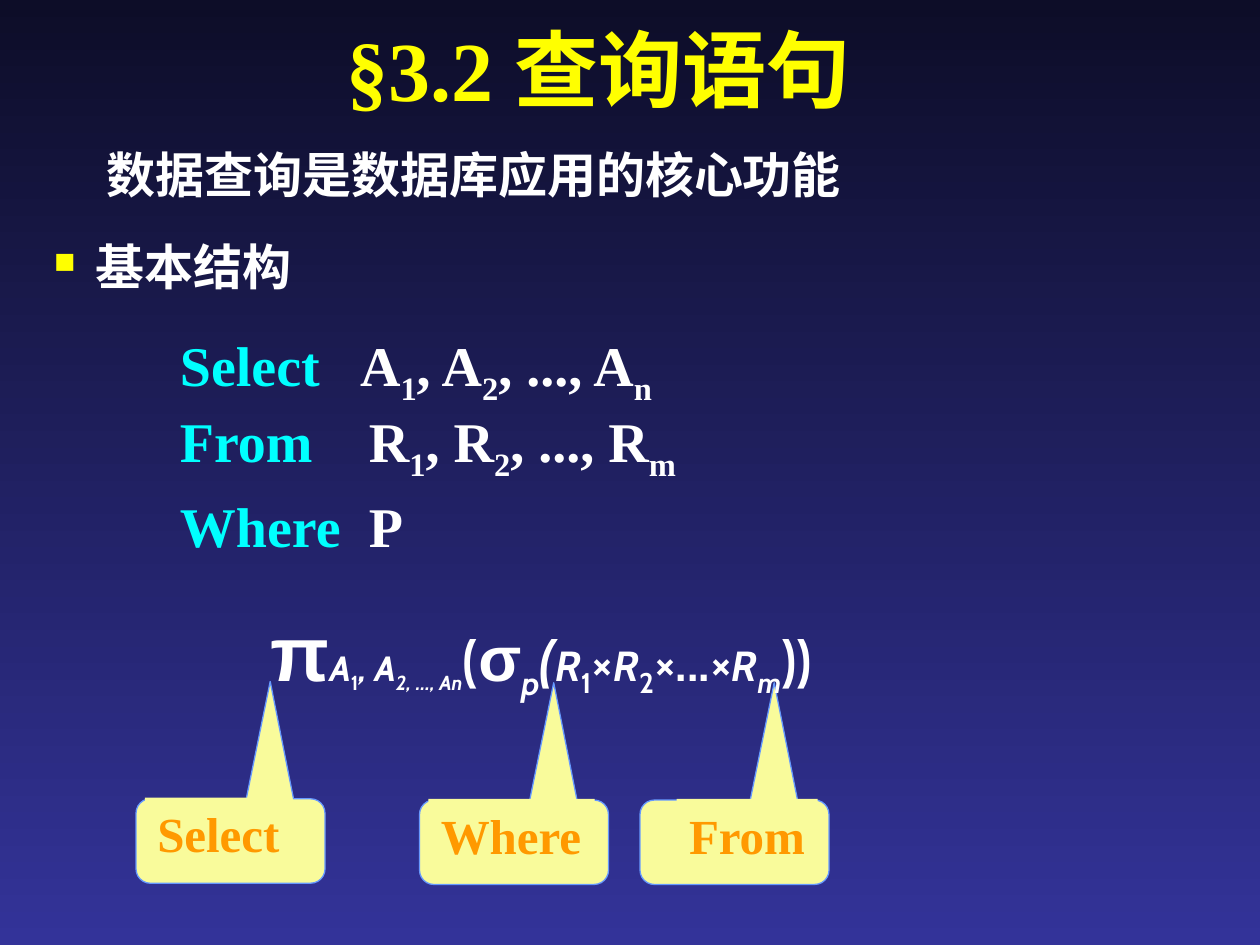
import pptx
import pptx.dml.color
import pptx.enum.shapes
import pptx.enum.text
import pptx.oxml
import pptx.oxml.ns
import pptx.util
from dataclasses import dataclass
from pptx.util import Inches, Pt


@dataclass(frozen=True)
class Theme:
    night: str = "0D0D28"
    indigo: str = "333399"
    yellow: str = "FFFF00"
    white: str = "FFFFFF"
    cyan: str = "00FFFF"
    orange: str = "FF9900"
    cream: str = "F9FB9B"
    outline: str = "6699FF"
    serif: str = "Times New Roman"
    sans: str = "Cabin"
    greek: str = "Arial"
    chinese: str = "Noto Sans CJK SC"
    title: int = 48
    body: int = 28
    clause: int = 32


theme = Theme()
rgb = pptx.dml.color.RGBColor.from_string


def add_spans(para, spans, **base):
    """Add bold runs; each span is text plus what differs from the base format."""
    for text, changes in spans:
        style = {"bold": True, "color": theme.white, **base, **changes}
        span = para.add_run()
        span.text = text
        span.font.color.rgb = rgb(style.pop("color"))
        span.font.size = Pt(style.pop("size"))
        properties = span._r.get_or_add_rPr()
        if style.pop("sub", False):
            properties.set("baseline", "-25000")
        for name, value in style.items():
            setattr(span.font, name, value)
        east_asian = pptx.oxml.parse_xml(
            f'<a:ea {pptx.oxml.ns.nsdecls("a")} typeface="{theme.chinese}"/>')
        properties.find(pptx.oxml.ns.qn("a:latin")).addnext(east_asian)


def add_text_box(left, top, width, height, wrap=True):
    box = page.shapes.add_textbox(Inches(left), Inches(top), Inches(width), Inches(height))
    box.text_frame.word_wrap = wrap
    return box.text_frame


deck = pptx.Presentation()
deck.slide_width, deck.slide_height = Inches(10), Inches(7.5)
page = deck.slides.add_slide(deck.slide_layouts[5])

background = page.background.fill
background.gradient()
background.gradient_angle = 270
for stop, color, position in zip(background.gradient_stops, (theme.night, theme.indigo), (0, 1)):
    stop.color.rgb = rgb(color)
    stop.position = position

# Title and lead sentence
title = page.shapes.title
title.left, title.top, title.width, title.height = map(Inches, (0.5, 0.08, 8.5, 0.92))
title.text_frame.vertical_anchor = pptx.enum.text.MSO_ANCHOR.MIDDLE
title_para = title.text_frame.paragraphs[0]
title_para.alignment = pptx.enum.text.PP_ALIGN.CENTER
add_spans(title_para, [("§3.2 查询语句", {})],
          size=theme.title, name=theme.serif, color=theme.yellow)

lead = add_text_box(0.75, 1.1, 8.25, 0.57)
add_spans(lead.paragraphs[0], [("数据查询是数据库应用的核心功能", {})],
          size=theme.body, name=theme.sans)

# Bulleted heading and the three clauses of the query
structure = add_text_box(0.33, 1.83, 9.33, 2.66)
heading = structure.paragraphs[0]
heading_properties = heading._p.get_or_add_pPr()
heading_properties.set("marL", str(Inches(0.33)))
heading_properties.set("indent", str(-Inches(0.33)))
for bullet in (f'<a:buClr {{}}><a:srgbClr val="{theme.yellow}"/></a:buClr>',
               '<a:buSzPct {} val="60000"/>', '<a:buChar {} char="■"/>'):
    heading_properties.append(pptx.oxml.parse_xml(bullet.format(pptx.oxml.ns.nsdecls("a"))))
add_spans(heading, [("基本结构", {})], size=theme.body, name=theme.chinese)

SUB = {"sub": True}
clauses = [
    ("Select", 2.43, [("A", {}), ("1", SUB), (", A", {}), ("2", SUB), (", ..., A", {}), ("n", SUB)]),
    ("From", 2.5, [("R", {}), ("1", SUB), (", R", {}), ("2", SUB), (", ..., R", {}), ("m", SUB)]),
    ("Where", 2.5, [("P", {})]),
]
for index, (keyword, operand_tab, operands) in enumerate(clauses):
    para = structure.add_paragraph()
    para.space_before = Pt(0 if index else 20)
    para.line_spacing = Pt(43.5)
    tabs = "".join(f'<a:tab pos="{Inches(stop)}" algn="l"/>' for stop in (1, operand_tab))
    para._p.get_or_add_pPr().append(pptx.oxml.parse_xml(
        f'<a:tabLst {pptx.oxml.ns.nsdecls("a")}>{tabs}</a:tabLst>'))
    add_spans(para, [("\t" + keyword + "\t", {"color": theme.cyan}), *operands],
              size=theme.clause, name=theme.serif)

# Callouts naming the clause behind each part of the formula
callouts = [
    ("Select", 1.08, 6.34, 1.15, 1.17),
    ("Where", 3.33, 6.35, 3.4, 1.32),
    ("From", 5.08, 6.35, 5.37, 1.12),
]
shapes = pptx.enum.shapes.MSO_SHAPE
for keyword, left, top, label_left, label_width in callouts:
    group = page.shapes.add_group_shape()
    balloon = group.shapes.add_shape(
        shapes.ROUNDED_RECTANGULAR_CALLOUT, Inches(left), Inches(top), Inches(1.5), Inches(0.67))
    for index, value in enumerate((0.21, -1.89, 0.17)):
        balloon.adjustments[index] = value
    label = group.shapes.add_shape(
        shapes.RECTANGLE, Inches(label_left), Inches(top - 0.01), Inches(label_width), Inches(0.57))
    for shape in (balloon, label):
        shape.shadow.inherit = False
        shape.fill.solid()
        shape.fill.fore_color.rgb = rgb(theme.cream)
    balloon.line.color.rgb = rgb(theme.outline)
    balloon.line.width = Pt(0.75)
    label.line.fill.background()
    frame = label.text_frame
    frame.word_wrap = False
    frame.vertical_anchor = pptx.enum.text.MSO_ANCHOR.TOP
    frame.paragraphs[0].alignment = pptx.enum.text.PP_ALIGN.LEFT
    add_spans(frame.paragraphs[0], [(keyword, {})],
              size=theme.body, name=theme.serif, color=theme.orange)

# Relational algebra formula
LIST = {"size": 20, "italic": True}
LIST_SUB = {**LIST, "sub": True}
RELATION = {"size": 24, "italic": True}
INDEX = {"size": 28, "sub": True}
TIMES = {"size": 28}
formula = add_text_box(2.05, 4.75, 6.06, 0.88, wrap=False)
add_spans(formula.paragraphs[0], [
    ("π", {"size": 44, "name": theme.greek}),
    ("A", LIST), ("1", {"size": 20, "sub": True}), (", A", LIST), ("2", LIST_SUB),
    (", ..., A", LIST_SUB), ("n", LIST_SUB),
    ("(", {}), ("σ", {"size": 36, "name": theme.greek}),
    ("p", {"italic": True, "sub": True}), ("(", {"italic": True}),
    ("R", RELATION), ("1", INDEX), ("×", TIMES), ("R", RELATION), ("2", INDEX),
    ("×...×", TIMES), ("R", RELATION), ("m", {**INDEX, "italic": True}), ("))", {}),
], size=32, name=theme.sans)

deck.save("out.pptx")
